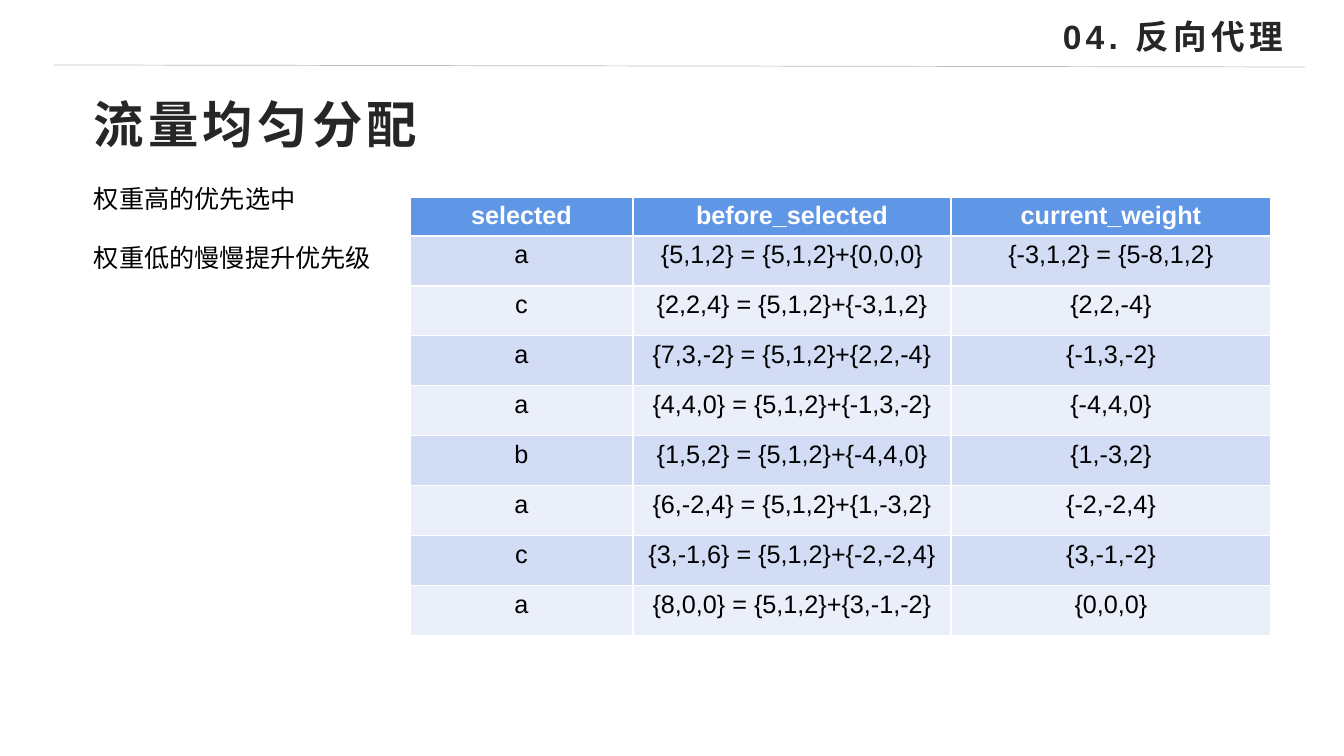
from pptx import Presentation
from pptx.dml.color import RGBColor
from pptx.enum.shapes import MSO_CONNECTOR
from pptx.enum.text import MSO_ANCHOR, MSO_AUTO_SIZE, PP_ALIGN
from pptx.oxml.ns import qn
from pptx.util import Emu, Pt
from lxml.etree import SubElement

PX = 914400 / 100.8
PAGE_SIZE = 1344, 756

HEADING = {"size": Pt(24), "bold": True, "color": "262626"}
TITLE = {"size": Pt(36), "bold": True, "color": "262626"}
BODY = {"size": Pt(18), "bold": False, "color": "000000"}
HEADER = {"size": Pt(18), "bold": True, "color": "FFFFFF"}

# lines, (left, top, width, height), format, letter spacing, anchor
TEXTS = [
    (["04. 反向代理"], (1053, 6, 284, 61), HEADING, 3, MSO_ANCHOR.MIDDLE),
    (["流量均匀分配"], (84, 84, 535, 78), TITLE, 3, MSO_ANCHOR.MIDDLE),
    (["权重高的优先选中", "权重低的慢慢提升优先级"], (84, 178, 437, 102),
     BODY, 0, MSO_ANCHOR.TOP),
]
PARA_GAP = Pt(20.7)
RULE = (54, 65), (1305, 67)

WEIGHTS = [
    ("selected", "before_selected", "current_weight"),
    ("a", "{5,1,2} = {5,1,2}+{0,0,0}", "{-3,1,2} = {5-8,1,2}"),
    ("c", "{2,2,4} = {5,1,2}+{-3,1,2}", "{2,2,-4}"),
    ("a", "{7,3,-2} = {5,1,2}+{2,2,-4}", "{-1,3,-2}"),
    ("a", "{4,4,0} = {5,1,2}+{-1,3,-2}", "{-4,4,0}"),
    ("b", "{1,5,2} = {5,1,2}+{-4,4,0}", "{1,-3,2}"),
    ("a", "{6,-2,4} = {5,1,2}+{1,-3,2}", "{-2,-2,4}"),
    ("c", "{3,-1,6} = {5,1,2}+{-2,-2,4}", "{3,-1,-2}"),
    ("a", "{8,0,0} = {5,1,2}+{3,-1,-2}", "{0,0,0}"),
]
TABLE_AT = 410, 197
COLUMN_WIDTHS = 223, 318, 320
HEADER_HEIGHT, ROW_HEIGHT = 39, 50
HEADER_FILL, BAND_FILLS = "6096E6", ("EAEFFA", "D2DDF5")


def px(*lengths):
    """Turn pixel lengths into EMU."""
    return [Emu(round(length * PX)) for length in lengths]


def rgb(value):
    """Turn a hex string into a colour."""
    return RGBColor.from_string(value)


def write(para, text, style, spacing=0):
    """Add one formatted span to a paragraph."""
    span = para.add_run()
    span.text = text
    span.font.name = "Arial"
    for name, value in style.items():
        if name == "color":
            span.font.color.rgb = rgb(value)
        else:
            setattr(span.font, name, value)
    if spacing:
        span.font._element.set("spc", str(spacing * 100))


def add_text(page, lines, place, style, spacing, anchor):
    """Add a text box with one paragraph per line."""
    frame = page.shapes.add_textbox(*px(*place)).text_frame
    frame.word_wrap = True
    frame.auto_size = MSO_AUTO_SIZE.NONE
    frame.vertical_anchor = anchor
    for index, line in enumerate(lines):
        para = frame.add_paragraph() if index else frame.paragraphs[0]
        if index:
            para.space_before = PARA_GAP
        write(para, line, style, spacing)


def add_rule(page, start, end):
    """Add the thin line under the heading."""
    rule = page.shapes.add_connector(MSO_CONNECTOR.STRAIGHT, *px(*start, *end))
    rule.line.color.rgb = rgb("BFBFBF")
    rule.line.width = Pt(0.5)
    SubElement(rule._element.spPr, qn("a:effectLst"))


def add_weights(page):
    """Add the banded table; its default style draws the white borders."""
    heights = [HEADER_HEIGHT] + [ROW_HEIGHT] * (len(WEIGHTS) - 1)
    table = page.shapes.add_table(
        len(heights), len(COLUMN_WIDTHS),
        *px(*TABLE_AT, sum(COLUMN_WIDTHS), sum(heights))).table
    for column, width in zip(table.columns, px(*COLUMN_WIDTHS)):
        column.width = width
    for index, (row, height) in enumerate(zip(table.rows, px(*heights))):
        row.height = height
        for cell, text in zip(row.cells, WEIGHTS[index]):
            cell.fill.solid()
            cell.fill.fore_color.rgb = rgb(BAND_FILLS[index % 2] if index else HEADER_FILL)
            para = cell.text_frame.paragraphs[0]
            para.alignment = PP_ALIGN.CENTER
            write(para, text, BODY if index else HEADER)


deck = Presentation()
deck.slide_width, deck.slide_height = px(*PAGE_SIZE)
page = deck.slides.add_slide(deck.slide_layouts[6])
add_rule(page, *RULE)
for entry in TEXTS:
    add_text(page, *entry)
add_weights(page)
deck.save("out.pptx")
